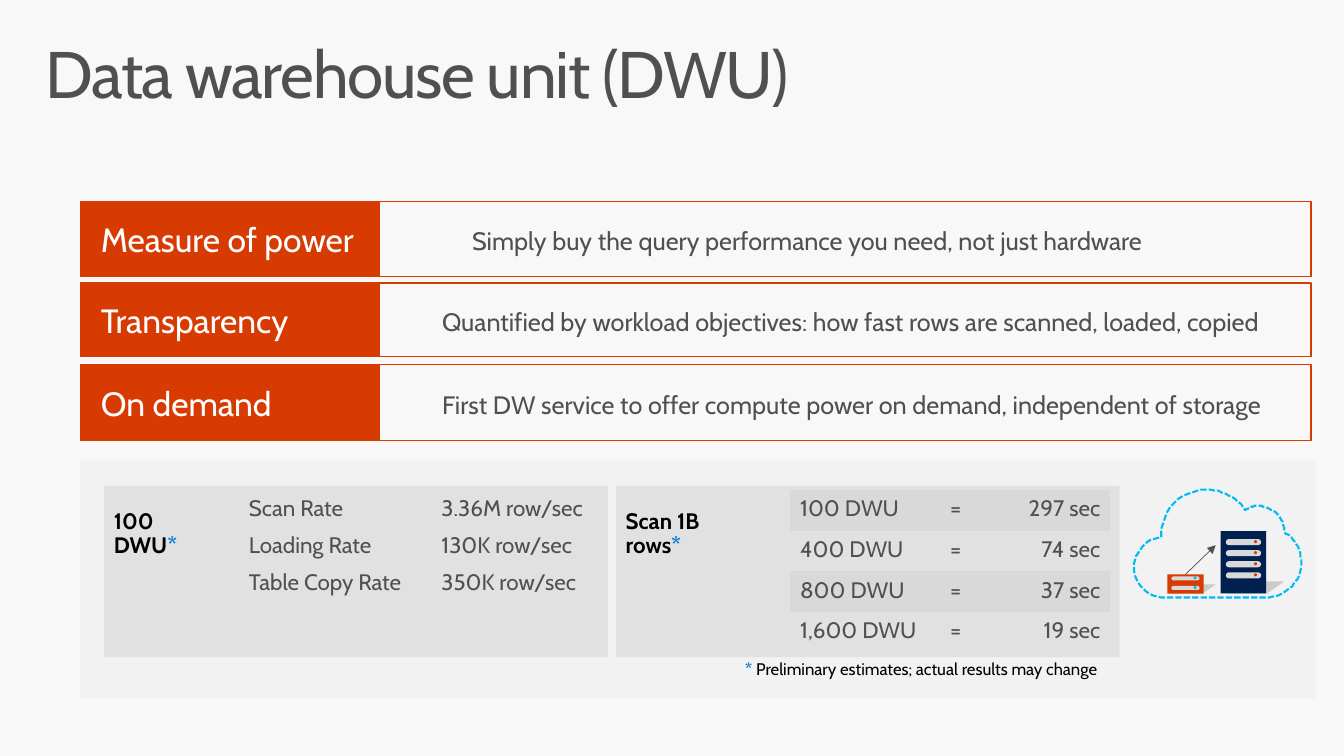
"""Build the slide that explains the data warehouse unit (DWU)."""
from dataclasses import dataclass

from lxml.etree import SubElement
from pptx import Presentation
from pptx.dml.color import RGBColor
from pptx.enum.dml import MSO_LINE
from pptx.enum.shapes import MSO_CONNECTOR, MSO_SHAPE
from pptx.enum.text import MSO_ANCHOR, MSO_AUTO_SIZE, PP_ALIGN
from pptx.oxml.ns import qn
from pptx.util import Cm, Pt

FONT = "Cabin"
COLORS = {
    "back": "F8F8F8", "panel": "F2F2F2", "card": "D2D2D2", "band": "D9D9D9",
    "text": "505050", "black": "000000", "white": "FFFFFF", "orange": "D83B01",
    "star": "0078D7", "cyan": "00BCF2", "navy": "002050", "shade": "282828",
}
NO_GRID = "{2D5ABB26-0587-4C30-8999-92F81FD0307C}"
GRID = 0.0254
ART_X, ART_Y = 28.58, 12.34
Point = tuple[float, float]


@dataclass(frozen=True)
class Benefit:
    """A heading and its explanation in one banner."""
    heading: str
    detail: str
    height: float
    inset: float


@dataclass(frozen=True)
class Card:
    """A grey card with a label and a table."""
    left: float
    label: str
    label_width: float
    table_left: float
    widths: tuple[float, ...]
    row_height: float
    rows: tuple[tuple[str, ...], ...]
    banded: bool


@dataclass(frozen=True)
class Server:
    """A server icon in grid units, with its slots, lights and floor shadow."""
    box: tuple[float, float, float, float]
    color: str
    slots: int
    slot: tuple[float, float, float, float]
    light: Point
    light_color: str
    pitch: float
    shadow: tuple[Point, ...]


BENEFITS = (
    Benefit("Measure of power", "Simply buy the query performance you need, not just hardware", 1.88, 0.76),
    Benefit("Transparency",
            "Quantified by workload objectives: how fast rows are scanned, loaded, copied", 1.85, 0),
    Benefit("On demand", "First DW service to offer compute power on demand, independent of storage", 1.93, 0),
)
CARDS = (
    Card(2.62, "100 DWU", 3.38, 6.02, (4.85, 4.85), 0.93,
         (("Scan Rate", "3.36M row/sec"), ("Loading Rate", "130K row/sec"),
          ("Table Copy Rate", "350K row/sec")), False),
    Card(15.52, "Scan 1B rows", 4.06, 19.91, (3.78, 1.04, 3.25), 1.03,
         (("100 DWU", "=", "297 sec"), ("400 DWU", "=", "74 sec"),
          ("800 DWU", "=", "37 sec"), ("1,600 DWU", "=", "19 sec")), True),
)
SERVERS = (
    Server((86, 41, 45, 62), "navy", 4, (91, 49, 35, 6), (119, 50), "orange", 11,
           ((111, 91), (149, 91), (132, 103), (93, 103))),
    Server((33, 84, 36, 19), "orange", 2, (37, 86, 28, 4), (59, 86), "cyan", 9.5,
           ((51, 94), (81, 94), (68, 103), (36, 103))),
)
CLOUD_START = (27, 47)
CLOUD_CURVES = (
    ((27, 46), (27, 45), (27, 45)), ((27, 20), (47, 0), (72, 0)),
    ((88, 0), (102, 8), (110, 20)), ((114, 18), (118, 16), (123, 16)),
    ((128, 16), (133, 18), (138, 21)), ((145, 25), (149, 33), (149, 42)),
    ((159, 48), (166, 59), (166, 72)), ((166, 90), (152, 105), (134, 107)),
    ((100, 107), (65, 107), (31, 107)), ((14, 107), (0, 93), (0, 77)),
    ((0, 62), (12, 49), (27, 47)),
)


def rgb(name: str) -> RGBColor:
    """Look up a palette colour."""
    return RGBColor.from_string(COLORS[name])


def paint(sp, fill: str | None, line: str | None = None, width: float = 0.85, alpha: int = 100) -> None:
    """Set the fill, outline and opacity of a shape."""
    sp.shadow.inherit = False
    if fill:
        sp.fill.solid()
        sp.fill.fore_color.rgb = rgb(fill)
        if alpha < 100:
            color = sp._element.spPr.find(qn("a:solidFill"))[0]
            SubElement(color, qn("a:alpha"), val=str(alpha * 1000))
    else:
        sp.fill.background()
    if line:
        sp.line.color.rgb = rgb(line)
        sp.line.width = Pt(width)
    else:
        sp.line.fill.background()


def add_box(s, left: float, top: float, width: float, height: float, fill: str | None,
            line: str | None = None, alpha: int = 100, kind=MSO_SHAPE.RECTANGLE):
    """Add a painted preset shape measured in centimetres."""
    sp = s.shapes.add_shape(kind, Cm(left), Cm(top), Cm(width), Cm(height))
    paint(sp, fill, line, alpha=alpha)
    return sp


def set_font(p, size: float, color: str | None = "text", bold: bool | None = None) -> None:
    """Format a whole paragraph."""
    p.font.name, p.font.size, p.font.bold = FONT, Pt(size), bold
    if color:
        p.font.color.rgb = rgb(color)


def set_frame(tf, left: float, top: float, right: float, bottom: float, anchor=MSO_ANCHOR.TOP) -> None:
    """Set wrapping, insets and anchor of a text frame."""
    tf.word_wrap, tf.vertical_anchor = True, anchor
    tf.margin_left, tf.margin_top = Cm(left), Cm(top)
    tf.margin_right, tf.margin_bottom = Cm(right), Cm(bottom)


def add_note(s, left: float, top: float, width: float, insets: tuple[float, ...], size: float,
             runs: tuple[tuple[str, str, bool], ...]) -> None:
    """Add a text box whose runs differ in colour and weight."""
    tf = s.shapes.add_textbox(Cm(left), Cm(top), Cm(width), Cm(1.27)).text_frame
    set_frame(tf, *insets)
    p = tf.paragraphs[0]
    p.line_spacing, p.space_after = 0.9, Pt(6)
    set_font(p, size, None)
    for text, color, bold in runs:
        r = p.add_run()
        r.text, r.font.bold = text, bold
        r.font.color.rgb = rgb(color)


def add_title(s, text: str) -> None:
    """Place and format the title placeholder."""
    sp = s.shapes.title
    sp.left, sp.top, sp.width, sp.height = Cm(0.74), Cm(0.81), Cm(32.39), Cm(2.49)
    tf = sp.text_frame
    set_frame(tf, 0.41, 0.25, 0.41, 0.25)
    tf.auto_size = MSO_AUTO_SIZE.NONE
    p = tf.paragraphs[0]
    p.alignment, p.line_spacing = PP_ALIGN.LEFT, 0.9
    set_font(p, 47)
    r = p.add_run()
    r.text = text
    r._r.get_or_add_rPr().set("spc", "-100")


def add_benefit(s, benefit: Benefit, top: float) -> None:
    """Draw a heading block with its outlined explanation."""
    tf = add_box(s, 2.03, top, 7.54, benefit.height, "orange", "orange").text_frame
    set_frame(tf, 0.51, 0.38, 0.51, 0.38, MSO_ANCHOR.MIDDLE)
    heading = tf.paragraphs[0]
    heading.text, heading.alignment = benefit.heading, PP_ALIGN.LEFT
    set_font(heading, 24, "white")
    tf = add_box(s, 9.57, top, 23.47, benefit.height, None, "orange").text_frame
    set_frame(tf, benefit.inset, 0.38, 0.51 if benefit.inset else 0, 0.38, MSO_ANCHOR.MIDDLE)
    detail = tf.paragraphs[0]
    detail.text, detail.alignment, detail.line_spacing = benefit.detail, PP_ALIGN.LEFT, Pt(24)
    detail._p.get_or_add_pPr().set("marL", str(Cm(1.57)))
    set_font(detail, 18)


def add_card(s, card: Card) -> None:
    """Draw a card, its starred label and its table."""
    add_box(s, card.left, 12.24, 12.7, 4.32, "card", alpha=50)
    add_note(s, card.left, 12.6, card.label_width, (0.25, 0.25, 0.51, 0.41), 16,
             ((card.label, "black", True), ("*", "star", True)))
    table = s.shapes.add_table(len(card.rows), len(card.widths), Cm(card.table_left), Cm(12.34),
                               Cm(sum(card.widths)), Cm(card.row_height * len(card.rows))).table
    table.first_row = table.horz_banding = False
    table._tbl.tblPr.find(qn("a:tableStyleId")).text = NO_GRID
    for column, width in zip(table.columns, card.widths):
        column.width = Cm(width)
    for i, values in enumerate(card.rows):
        table.rows[i].height = Cm(card.row_height)
        for j, value in enumerate(values):
            cell = table.cell(i, j)
            if card.banded and i % 2 == 0:
                cell.fill.solid()
                cell.fill.fore_color.rgb = rgb("band")
            else:
                cell.fill.background()
            p = cell.text_frame.paragraphs[0]
            p.text = value
            p.alignment = PP_ALIGN.RIGHT if j == 2 else PP_ALIGN.LEFT
            set_font(p, 16)


def add_art_box(s, x: float, y: float, width: float, height: float, fill: str, kind=MSO_SHAPE.RECTANGLE):
    """Add a preset shape on the illustration grid."""
    return add_box(s, ART_X + x * GRID, ART_Y + y * GRID, width * GRID, height * GRID, fill, kind=kind)


def add_outline(s, points: list[Point]):
    """Add a closed outline on the illustration grid."""
    builder = s.shapes.build_freeform(*points[0], scale=Cm(GRID))
    builder.add_line_segments(points[1:], close=True)
    return builder.convert_to_shape(Cm(ART_X), Cm(ART_Y))


def cloud_points(steps: int = 12) -> list[Point]:
    """Sample the cubic curves of the cloud."""
    points = [CLOUD_START]
    for b, c, d in CLOUD_CURVES:
        a = points[-1]
        for t in (k / steps for k in range(1, steps + 1)):
            u = 1 - t
            points.append(tuple(u**3 * a[n] + 3 * u * u * t * b[n] + 3 * u * t * t * c[n] + t**3 * d[n]
                                for n in (0, 1)))
    return points


def add_server(s, server: Server):
    """Draw a server and return its body."""
    paint(add_outline(s, list(server.shadow)), "shade", alpha=19)
    body = add_art_box(s, *server.box, server.color)
    x, y, width, height = server.slot
    for i in range(server.slots):
        shift = i * server.pitch
        slot = add_art_box(s, x, y + shift, width, height, "band", MSO_SHAPE.ROUNDED_RECTANGLE)
        slot.adjustments[0] = 0.5
        add_art_box(s, server.light[0], server.light[1] + shift, 3, 3, server.light_color, MSO_SHAPE.OVAL)
    return body


def add_illustration(s) -> None:
    """Draw the cloud with a small server growing into a large one."""
    cloud = add_outline(s, cloud_points())
    paint(cloud, None, "cyan", 1.5)
    cloud.line.dash_style = MSO_LINE.SQUARE_DOT
    _, small = [add_server(s, server) for server in SERVERS]
    arrow = s.shapes.add_connector(MSO_CONNECTOR.STRAIGHT, Cm(ART_X + 51 * GRID), Cm(ART_Y + 84 * GRID),
                                   Cm(ART_X + 81 * GRID), Cm(ART_Y + 55 * GRID))
    arrow.begin_connect(small, 0)
    arrow.line.color.rgb, arrow.line.width = rgb("text"), Pt(0.5)
    SubElement(arrow.line._get_or_add_ln(), qn("a:tailEnd"), type="triangle")
    SubElement(arrow._element.spPr, qn("a:effectLst"))


def main() -> None:
    """Build and save the slide."""
    prs = Presentation()
    prs.slide_width, prs.slide_height = Cm(33.87), Cm(19.05)
    s = prs.slides.add_slide(prs.slide_layouts[5])
    s.background.fill.solid()
    s.background.fill.fore_color.rgb = rgb("back")
    add_title(s, "Data warehouse unit (DWU)")
    add_box(s, 2.03, 11.58, 31.12, 6.02, "panel")
    for i, benefit in enumerate(BENEFITS):
        add_benefit(s, benefit, 5.08 + 2.05 * i)
    for card in CARDS:
        add_card(s, card)
    add_note(s, 18.26, 16.43, 10.41, (0.51, 0.41, 0.51, 0.41), 12,
             (("*", "star", True), (" Preliminary estimates; actual results may change", "black", False)))
    add_illustration(s)
    prs.save("out.pptx")


if __name__ == "__main__":
    main()
